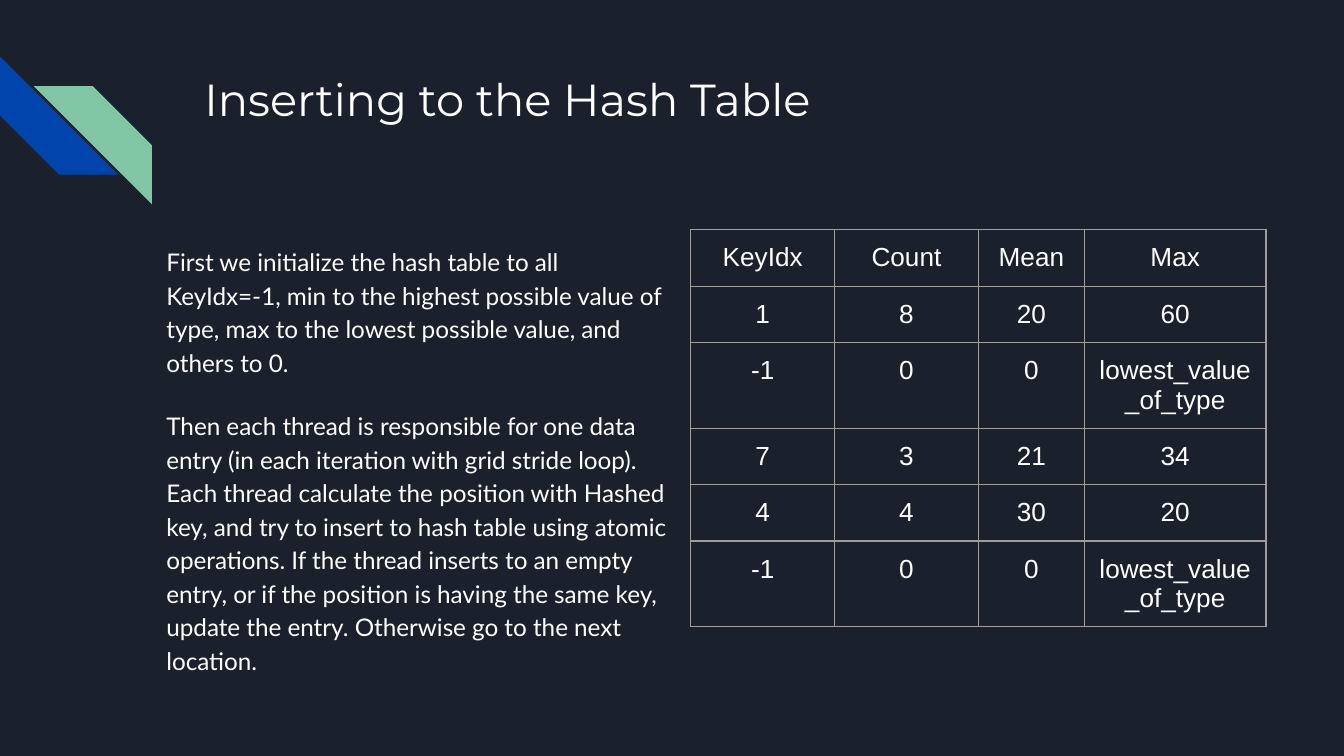
from lxml.etree import SubElement
from pptx import Presentation
from pptx.dml.color import RGBColor
from pptx.enum.shapes import MSO_SHAPE as Shape
from pptx.enum.text import MSO_ANCHOR as Anchor, MSO_AUTO_SIZE as AutoSize, PP_ALIGN as Align
from pptx.oxml.ns import qn
from pptx.util import Inches, Pt

NAVY = RGBColor(0x1B, 0x21, 0x2C)
BLUE = RGBColor(0x01, 0x45, 0xAC)
GREEN = RGBColor(0x82, 0xC7, 0xA5)
WHITE = RGBColor(0xFF, 0xFF, 0xFF)
GREY = RGBColor(0x9E, 0x9E, 0x9E)

PARAGRAPHS = [
    "First we initialize the hash table to all KeyIdx=-1, min to the highest possible value "
    "of type, max to the lowest possible value, and others to 0.",
    "Then each thread is responsible for one data entry (in each iteration with grid stride "
    "loop). Each thread calculate the position with Hashed key, and try to insert to hash "
    "table using atomic operations. If the thread inserts to an empty entry, or if the "
    "position is having the same key, update the entry. Otherwise go to the next location.",
]
EMPTY_ENTRY = ["-1", "0", "0", "lowest_value_of_type"]
HASH_TABLE = [
    ["KeyIdx", "Count", "Mean", "Max"],
    ["1", "8", "20", "60"],
    EMPTY_ENTRY,
    ["7", "3", "21", "34"],
    ["4", "4", "30", "20"],
    EMPTY_ENTRY,
]
COLUMN_WIDTHS = [1.07, 1.07, 0.79, 1.35]
ROW_HEIGHT = 0.42


class SlideBuilder:
    """Holds the slide style and draws each kind of element on the current slide."""

    title_font = "Montserrat"
    body_font = "Lato"
    table_font = "Arial"
    inset = Inches(0.1)

    def __init__(self, page):
        self.page = page
        page.background.fill.solid()
        page.background.fill.fore_color.rgb = NAVY

    def set_margins(self, holder):
        holder.margin_left = holder.margin_right = self.inset
        holder.margin_top = holder.margin_bottom = self.inset

    def format_spans(self, para, font, size):
        for span in para.runs:
            span.font.name = font
            span.font.size = Pt(size)
            span.font.color.rgb = WHITE

    def prepare_frame(self, frame):
        frame.word_wrap = True
        frame.auto_size = AutoSize.NONE
        frame.vertical_anchor = Anchor.TOP
        self.set_margins(frame)

    def stripe(self, left, top, size, color, rotation=0, mirrored=False):
        stripe = self.page.shapes.add_shape(
            Shape.DIAGONAL_STRIPE, Inches(left), Inches(top), Inches(size), Inches(size))
        stripe.shadow.inherit = False
        stripe.fill.solid()
        stripe.fill.fore_color.rgb = color
        stripe.line.fill.background()
        stripe.rotation = rotation
        if mirrored:
            stripe.element.spPr.find(qn("a:xfrm")).set("flipH", "1")

    def title(self, text, left, top, width, height):
        title = self.page.shapes.title
        title.left, title.top = Inches(left), Inches(top)
        title.width, title.height = Inches(width), Inches(height)
        self.prepare_frame(title.text_frame)
        title.text_frame.text = text
        para = title.text_frame.paragraphs[0]
        para.alignment = Align.LEFT
        self.format_spans(para, self.title_font, 24)

    def body(self, texts, left, top, width, height):
        box = self.page.shapes.add_textbox(
            Inches(left), Inches(top), Inches(width), Inches(height))
        frame = box.text_frame
        self.prepare_frame(frame)
        for index, text in enumerate(texts):
            para = frame.add_paragraph() if index else frame.paragraphs[0]
            para.text = text
            para.line_spacing = 1.15
            if index:
                para.space_before = para.space_after = Pt(16)
            self.format_spans(para, self.body_font, 13)

    def border(self, cell):
        properties = cell._tc.get_or_add_tcPr()
        for side in ("lnL", "lnR", "lnT", "lnB"):
            line = SubElement(properties, qn(f"a:{side}"), w=str(Pt(0.75)))
            fill = SubElement(line, qn("a:solidFill"))
            SubElement(fill, qn("a:srgbClr"), val=str(GREY))

    def table(self, rows, left, top, widths, row_height):
        table = self.page.shapes.add_table(
            len(rows), len(widths), Inches(left), Inches(top),
            Inches(sum(widths)), Inches(row_height * len(rows))).table
        table.first_row = table.horz_banding = False
        for column, width in zip(table.columns, widths):
            column.width = Inches(width)
        for row, texts in zip(table.rows, rows):
            row.height = Inches(row_height)
            for cell, text in zip(row.cells, texts):
                cell.text = text
                self.set_margins(cell)
                self.border(cell)
                cell.fill.background()
                para = cell.text_frame.paragraphs[0]
                para.alignment = Align.CENTER
                self.format_spans(para, self.table_font, 14)


def main():
    deck = Presentation()
    deck.slide_width = Inches(10)
    deck.slide_height = deck.slide_width * 9 // 16
    builder = SlideBuilder(deck.slides.add_slide(deck.slide_layouts[5]))
    builder.stripe(0, 0.42, 0.88, BLUE, rotation=270)
    builder.stripe(0.25, 0.64, 0.88, GREEN, mirrored=True)
    builder.title("Inserting to the Hash Table", 1.42, 0.43, 7.7, 1)
    builder.body(PARAGRAPHS, 1.14, 1.71, 4, 3.38)
    builder.table(HASH_TABLE, 5.14, 1.71, COLUMN_WIDTHS, ROW_HEIGHT)
    deck.save("out.pptx")


if __name__ == "__main__":
    main()
